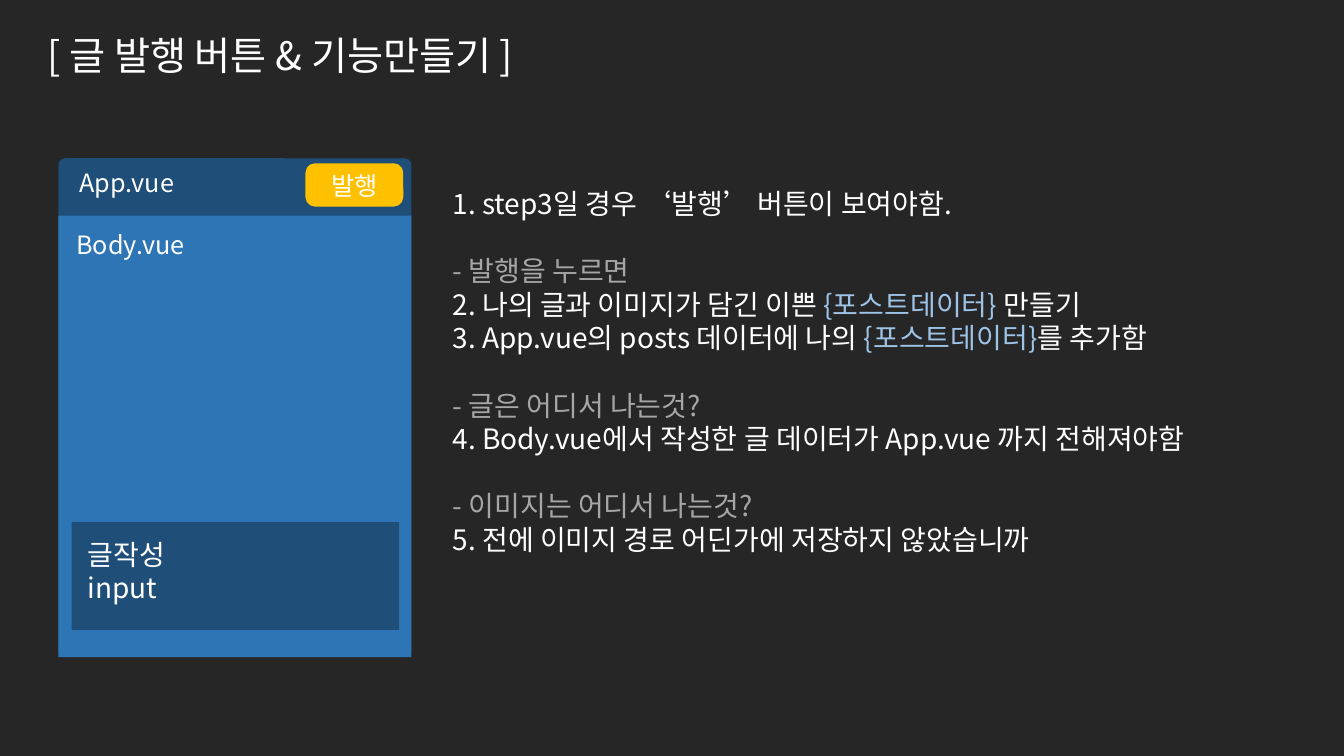
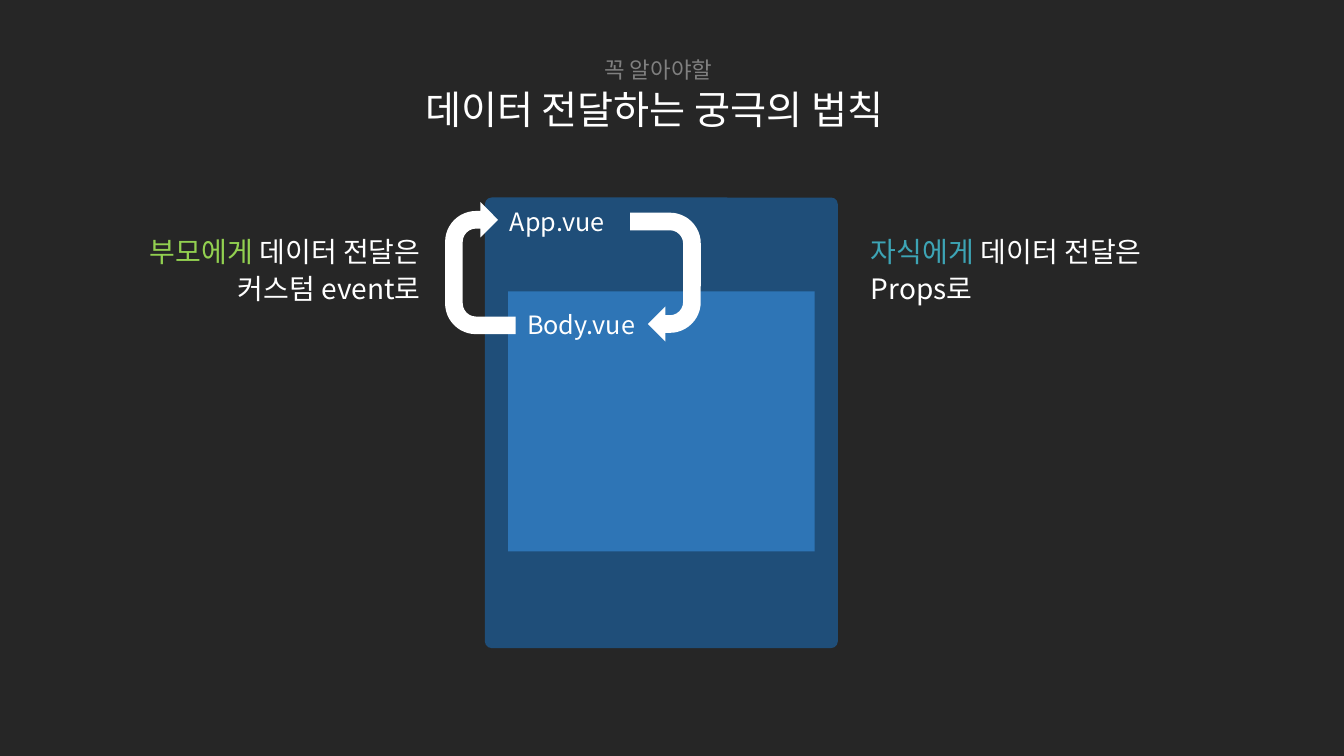
"""Build two slides on publishing a post and passing data between components."""
import pptx
import pptx.dml.color
import pptx.enum.shapes
import pptx.enum.text
import pptx.util
from lxml import etree
from pptx.oxml.ns import qn

Inches = pptx.util.Inches
Shapes = pptx.enum.shapes.MSO_SHAPE
Align = pptx.enum.text.PP_ALIGN
FONT = "Noto Sans CJK KR"
COLORS = {
    "background": "262626",
    "white": "FFFFFF",
    "muted": "A6A6A6",
    "subtitle": "808080",
    "navy": "1F4E79",
    "blue": "2E75B6",
    "pale_blue": "9DC3E6",
    "yellow": "FFC000",
    "green": "92D050",
    "teal": "3DA4B5",
}
TITLE = {"size": 28, "line_spacing": 1.1}
CAPTION = {"size": 20, "line_spacing": 1.1}


def add_block(slide, kind, box, fill, corner=None, rotation=0):
    shape = slide.shapes.add_shape(kind, *map(Inches, box))
    shape.shadow.inherit = False
    shape.fill.solid()
    shape.fill.fore_color.rgb = pptx.dml.color.RGBColor.from_string(COLORS[fill])
    shape.line.fill.background()
    shape.rotation = rotation
    if corner is not None:
        shape.adjustments[0] = corner
    return shape


def write_text(shape, text, size=18, ink="white", align=Align.LEFT, line_spacing=None):
    frame = shape.text_frame
    frame.word_wrap = True
    paragraphs = [[(text, ink)]] if isinstance(text, str) else text
    for index, runs in enumerate(paragraphs):
        paragraph = frame.add_paragraph() if index else frame.paragraphs[0]
        paragraph.alignment = align
        paragraph.line_spacing = line_spacing
        for words, run_ink in runs:
            run = paragraph.add_run()
            run.text = words
            run.font.name = FONT
            run.font.size = pptx.util.Pt(size)
            run.font.color.rgb = pptx.dml.color.RGBColor.from_string(COLORS[run_ink])
            east_asian = etree.SubElement(run.font._element, qn("a:ea"))
            east_asian.set("typeface", FONT)


presentation = pptx.Presentation()
presentation.slide_width = Inches(13.33)
presentation.slide_height = Inches(7.5)
background = presentation.slide_master.background.fill
background.solid()
background.fore_color.rgb = pptx.dml.color.RGBColor.from_string(COLORS["background"])
blank = presentation.slide_layouts[6]

publish = presentation.slides.add_slide(blank)
add_block(publish, Shapes.ROUNDED_RECTANGLE, (0.58, 1.57, 3.5, 4.95), "navy", corner=0.019)
add_block(publish, Shapes.RECTANGLE, (0.58, 2.14, 3.5, 4.38), "blue")
add_block(publish, Shapes.RECTANGLE, (0.71, 5.18, 3.25, 1.07), "navy")
button = add_block(publish, Shapes.ROUNDED_RECTANGLE, (3.03, 1.62, 0.97, 0.43), "yellow", corner=0.219)
write_text(button, "발행", align=Align.CENTER)

steps = [
    [("1. step3일 경우 ‘발행’ 버튼이 보여야함.", "white")],
    [("- 발행을 누르면", "muted")],
    [("2. 나의 글과 이미지가 담긴 이쁜 ", "white"), ("{포스트데이터} ", "pale_blue"), ("만들기", "white")],
    [("3. App.vue의 posts 데이터에 나의 ", "white"), ("{포스트데이터}", "pale_blue"), ("를 추가함", "white")],
    [("- 글은 어디서 나는것?", "muted")],
    [("4. Body.vue에서 작성한 글 데이터가 App.vue 까지 전해져야함", "white")],
    [("- 이미지는 어디서 나는것?", "muted")],
    [("5. 전에 이미지 경로 어딘가에 저장하지 않았습니까", "white")],
]
step_list = publish.shapes.add_textbox(*map(Inches, (4.39, 1.8, 7.95, 4.48)))
write_text(step_list, steps, size=20)
for paragraph in step_list.text_frame.paragraphs:
    if paragraph.text.startswith("-"):
        paragraph.space_before = pptx.util.Pt(24)

transfer = presentation.slides.add_slide(blank)
add_block(transfer, Shapes.ROUNDED_RECTANGLE, (4.81, 1.96, 3.5, 4.47), "navy", corner=0.019)
add_block(transfer, Shapes.RECTANGLE, (5.04, 2.89, 3.04, 2.58), "blue")
for box, rotation in [((5.96, 2.4, 1.28, 0.7), 90), ((4.11, 2.31, 1.31, 0.7), 270)]:
    add_block(transfer, Shapes.U_TURN_ARROW, box, "white", rotation=rotation)

writing_input = [[("글작성", "white")], [("input", "white")]]
to_child = [[("자식에게", "teal"), (" 데이터 전달은", "white")], [("Props로", "white")]]
to_parent = [[("부모에게", "green"), (" 데이터 전달은", "white")], [("커스텀 event로", "white")]]
labels = [
    (publish, (0.37, 0.21, 8.35, 0.62), "[ 글 발행 버튼 & 기능만들기 ]", TITLE),
    (publish, (0.69, 1.61, 2.2, 0.4), "App.vue", {}),
    (publish, (0.66, 2.23, 2.2, 0.4), "Body.vue", {}),
    (publish, (0.77, 5.28, 1.72, 0.77), writing_input, {"size": 20}),
    (transfer, (4.96, 2, 1.3, 0.4), "App.vue", {}),
    (transfer, (5.13, 3.02, 1.3, 0.4), "Body.vue", {}),
    (transfer, (8.54, 2.24, 3.77, 0.84), to_child, CAPTION),
    (transfer, (0.5, 2.24, 3.77, 0.84), to_parent, {**CAPTION, "align": Align.RIGHT}),
    (transfer, (2.14, 0.75, 8.7, 0.59), "데이터 전달하는 궁극의 법칙", {**TITLE, "align": Align.CENTER}),
    (transfer, (2.18, 0.48, 8.7, 0.38), "꼭 알아야할",
     {"size": 16, "ink": "subtitle", "align": Align.CENTER, "line_spacing": 1.1}),
]
for slide, box, text, text_format in labels:
    write_text(slide.shapes.add_textbox(*map(Inches, box)), text, **text_format)

presentation.save("out.pptx")
